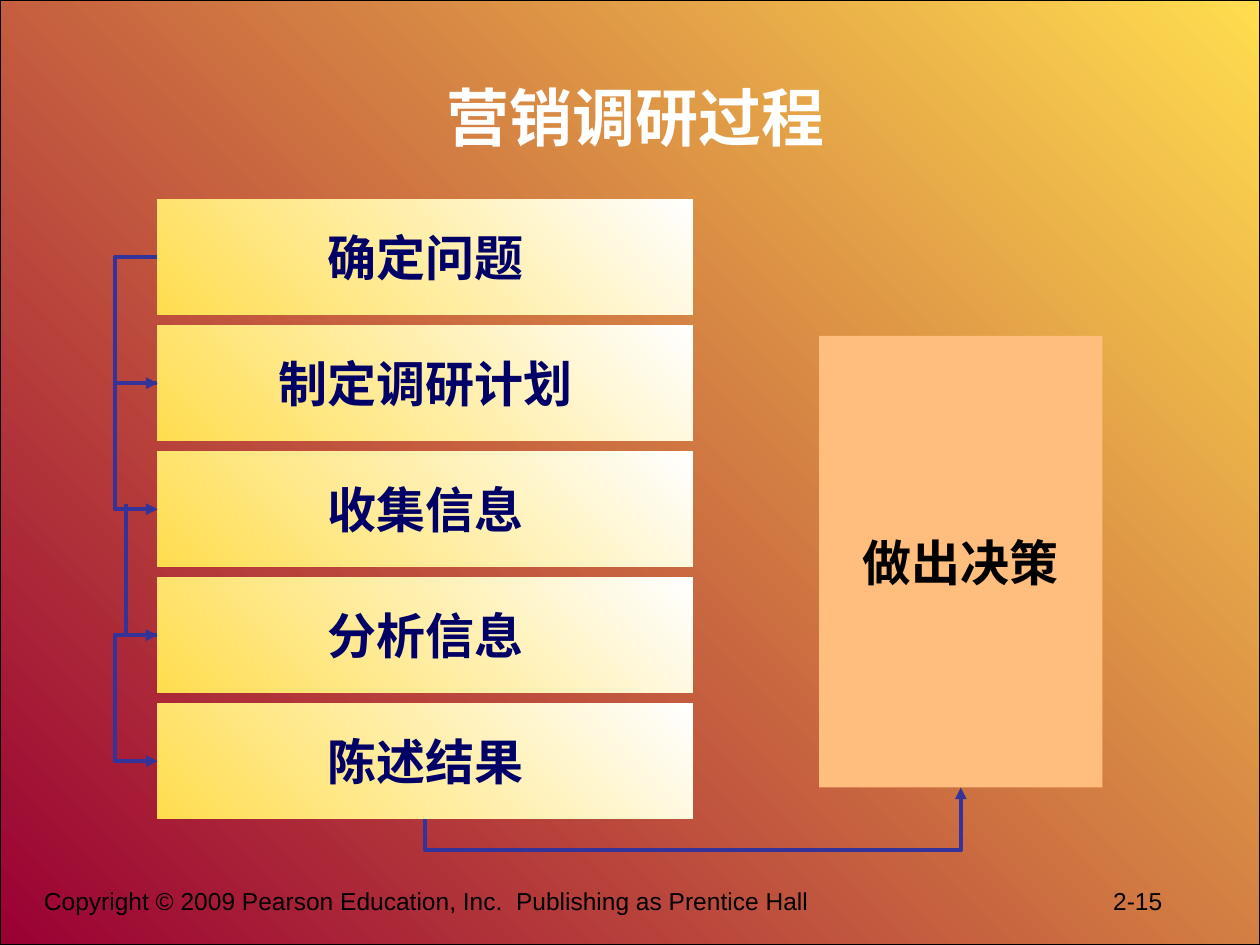
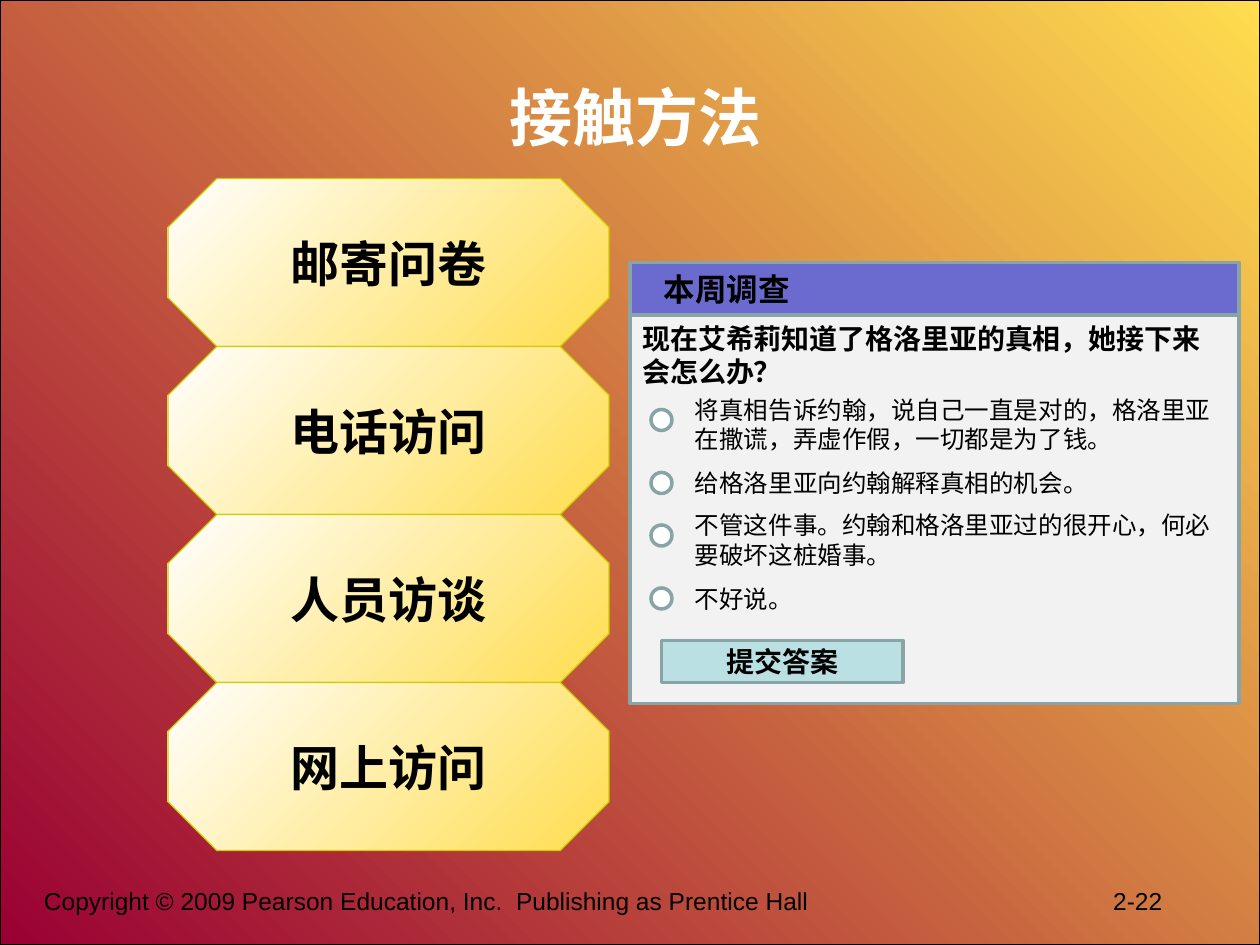
from dataclasses import dataclass

import lxml.etree
import pptx
import pptx.dml.color
import pptx.enum.shapes
import pptx.enum.text
import pptx.oxml.ns
import pptx.util

Pt = pptx.util.Pt
qn = pptx.oxml.ns.qn
SHAPES = pptx.enum.shapes.MSO_SHAPE
CONNECTORS = pptx.enum.shapes.MSO_CONNECTOR
ALIGN = pptx.enum.text.PP_ALIGN
ANCHOR = pptx.enum.text.MSO_ANCHOR
BOTTOM_SIDE, LEFT_SIDE = 2, 1


@dataclass(frozen=True)
class Theme:
    font: str = "Arial"
    title_font: str = "Noto Sans CJK SC"
    black: str = "000000"
    white: str = "FFFFFF"
    yellow: str = "FFDD4F"
    maroon: str = "990033"
    navy: str = "000066"
    arrow: str = "333399"
    decision: str = "FFBE7D"
    method_line: str = "CCCC00"
    panel: str = "F2F2F2"
    panel_header: str = "6B6BCF"
    panel_line: str = "89A4A7"
    button: str = "BBE0E3"
    title_size: float = 36
    box_size: float = 28
    header_size: float = 18
    question_size: float = 16
    small_size: float = 14
    thin: float = 0.75
    panel_width: float = 2
    arrow_width: float = 2.25


THEME = Theme()
SLIDE_BOX = (0, 0, 720, 540)
TITLE_BOX = (60, 21.6, 606, 90)
FOOTER_BOX = (18, 502.5, 672, 37.5)
COPYRIGHT = "Copyright © 2009 Pearson Education, Inc.  Publishing as Prentice Hall"
PAGE_NUMBER_TAB = 611

STEPS = ["确定问题", "制定调研计划", "收集信息", "分析信息", "陈述结果"]
METHODS = ["邮寄问卷", "电话访问", "人员访谈", "网上访问"]
# Answer text, top of the text and top of the radio button, from the panel top
ANSWERS = [
    ("将真相告诉约翰，说自己一直是对的，格洛里亚在撒谎，弄虚作假，一切都是为了钱。", 72, 84),
    ("给格洛里亚向约翰解释真相的机会。", 114, 120),
    ("不管这件事。约翰和格洛里亚过的很开心，何必要破坏这桩婚事。", 138, 150),
    ("不好说。", 180, 186),
]


def rgb(color):
    return pptx.dml.color.RGBColor.from_string(color)


def points(box):
    return [Pt(length) for length in box]


def write(shape, text, size, color=THEME.black, font=THEME.font, bold=False,
          align=ALIGN.LEFT, anchor=ANCHOR.TOP, wrap=True):
    frame = shape.text_frame
    for name, value in {"word_wrap": wrap, "vertical_anchor": anchor}.items():
        setattr(frame, name, value)
    paragraph = frame.paragraphs[0]
    paragraph.alignment = align
    run = paragraph.add_run()
    run.text = text
    for name, value in {"name": font, "size": Pt(size), "bold": bold}.items():
        setattr(run.font, name, value)
    run.font.color.rgb = rgb(color)
    east_asian = lxml.etree.SubElement(run._r.get_or_add_rPr(), qn("a:ea"))
    east_asian.set("typeface", font)
    return paragraph


def add_text(slide, box, text, size, **text_format):
    return write(slide.shapes.add_textbox(*points(box)), text, size, **text_format)


def add_box(slide, kind, box, fill, line=None, line_width=THEME.thin, angle=0):
    """Add a preset shape; a fill of two colours is a gradient at the angle."""
    shape = slide.shapes.add_shape(kind, *points(box))
    shape.shadow.inherit = False
    if isinstance(fill, tuple):
        shape.fill.gradient()
        shape.fill.gradient_angle = angle
        for stop, color in zip(shape.fill.gradient_stops, fill):
            stop.color.rgb = rgb(color)
    else:
        shape.fill.solid()
        shape.fill.fore_color.rgb = rgb(fill)
    if line:
        shape.line.color.rgb = rgb(line)
        shape.line.width = Pt(line_width)
    else:
        shape.line.fill.background()
    return shape


def add_line(slide, kind, start, end, arrow=True):
    connector = slide.shapes.add_connector(kind, *points(start + end))
    connector.line.color.rgb = rgb(THEME.arrow)
    connector.line.width = Pt(THEME.arrow_width)
    if arrow:
        line = connector.line._get_or_add_ln()
        lxml.etree.SubElement(line, qn("a:tailEnd")).set("type", "triangle")
    lxml.etree.SubElement(connector._element.spPr, qn("a:effectLst"))
    return connector


def add_loop(slide, first, last, side, frame, rotation, bend):
    """Join the same side of two boxes by an elbow that bends outside them.

    The frame is the unrotated box; bend is a multiple of its width.
    """
    connector = add_line(slide, CONNECTORS.ELBOW, (0, 0), (0, 0))
    connector.begin_connect(first, side)
    connector.end_connect(last, side)
    for name, value in zip(("left", "top", "width", "height"), points(frame)):
        setattr(connector, name, value)
    properties = connector._element.spPr
    transform = properties.find(qn("a:xfrm"))
    for name, value in {"rot": rotation * 60000, "flipH": 1, "flipV": 1}.items():
        transform.set(name, str(value))
    adjustments = properties.find(qn("a:prstGeom")).find(qn("a:avLst"))
    guide = lxml.etree.SubElement(adjustments, qn("a:gd"))
    guide.set("name", "adj1")
    guide.set("fmla", f"val {round(bend * 100000)}")


def add_base_slide(presentation, title, page):
    slide = presentation.slides.add_slide(presentation.slide_layouts[6])
    add_box(slide, SHAPES.RECTANGLE, SLIDE_BOX, (THEME.yellow, THEME.maroon),
            THEME.black, angle=225)
    footer = add_text(slide, FOOTER_BOX, f"{COPYRIGHT}\t{page}", THEME.small_size)
    tabs = lxml.etree.SubElement(footer._p.get_or_add_pPr(), qn("a:tabLst"))
    tab = lxml.etree.SubElement(tabs, qn("a:tab"))
    tab.set("pos", str(Pt(PAGE_NUMBER_TAB)))
    tab.set("algn", "l")
    add_text(slide, TITLE_BOX, title, THEME.title_size, color=THEME.white,
             font=THEME.title_font, bold=True, align=ALIGN.CENTER, anchor=ANCHOR.MIDDLE)
    return slide


def label(shape, text, color=THEME.black, size=THEME.box_size):
    write(shape, text, size, color=color, bold=True, align=ALIGN.CENTER,
          anchor=ANCHOR.MIDDLE, wrap=False)


def draw_steps(slide, box, gap=6):
    """Stack the step boxes in the box and link them along their left side."""
    left, top, width, height = box
    step_height = (height - gap * (len(STEPS) - 1)) / len(STEPS)
    pitch = step_height + gap
    steps = []
    for index, text in enumerate(STEPS):
        step = add_box(slide, SHAPES.RECTANGLE,
                       (left, top + index * pitch, width, step_height),
                       (THEME.white, THEME.yellow), angle=225)
        label(step, text, THEME.navy)
        steps.append(step)

    middles = [top + index * pitch + step_height / 2 for index in range(len(STEPS))]
    for index in (0, 1, 3):
        add_loop(slide, steps[index], steps[index + 1], LEFT_SIDE,
                 (left, middles[index], 0.17, pitch), 180, -144)

    spine = left - 18
    corner = (spine, middles[3])
    add_line(slide, CONNECTORS.STRAIGHT, (spine, middles[2] - 3), corner, arrow=False)
    branch = add_line(slide, CONNECTORS.STRAIGHT, corner, (left, middles[3]))
    branch.end_connect(steps[3], LEFT_SIDE)
    return steps


def draw_process(slide, steps_box, decision_box):
    steps = draw_steps(slide, steps_box)
    decision = add_box(slide, SHAPES.RECTANGLE, decision_box, THEME.decision)
    label(decision, "做出决策")

    start_x, start_y = steps_box[0] + steps_box[2] / 2, steps_box[1] + steps_box[3]
    end_x, end_y = decision_box[0] + decision_box[2] / 2, decision_box[1] + decision_box[3]
    rise, run = start_y - end_y, end_x - start_x
    frame = ((start_x + end_x - rise) / 2, (start_y + end_y - run) / 2, rise, run)
    add_loop(slide, steps[-1], decision, BOTTOM_SIDE, frame, 90, -1)


def draw_methods(slide, box):
    left, top, width, height = box
    method_height = height / len(METHODS)
    for index, text in enumerate(METHODS):
        method = add_box(slide, SHAPES.OCTAGON,
                         (left, top + index * method_height, width, method_height),
                         (THEME.yellow, THEME.white), THEME.method_line, angle=135)
        method.adjustments[0] = 0.29
        label(method, text)


def draw_survey(slide, box, header_height=30):
    left, top, width, height = box

    def add_part(kind, part_box, fill):
        x, y, part_width, part_height = part_box
        return add_box(slide, kind, (left + x, top + y, part_width, part_height),
                       fill, THEME.panel_line, THEME.panel_width)

    body = add_part(SHAPES.RECTANGLE, (0, header_height, width, height - header_height),
                    THEME.panel)
    write(body, "现在艾希莉知道了格洛里亚的真相，她接下来会怎么办？",
          THEME.question_size, bold=True)
    header = add_part(SHAPES.RECTANGLE, (0, 0, width, header_height), THEME.panel_header)
    header.text_frame.margin_left = Pt(19.2)
    write(header, "本周调查", THEME.header_size, bold=True, anchor=ANCHOR.MIDDLE)

    for text, text_top, radio_top in ANSWERS:
        add_part(SHAPES.OVAL, (12, radio_top, 12, 12), THEME.white)
        add_text(slide, (left + 30, top + text_top, 312, 24), text, THEME.small_size)
    button = add_part(SHAPES.RECTANGLE, (18, 216, 138, 24), THEME.button)
    label(button, "提交答案", size=THEME.question_size)


def main():
    presentation = pptx.Presentation()
    presentation.slide_width, presentation.slide_height = points(SLIDE_BOX[2:])

    process = add_base_slide(presentation, "营销调研过程", "2-15")
    draw_process(process, (90, 114, 306, 354), (468, 192, 162, 258))

    contact = add_base_slide(presentation, "接触方法", "2-22")
    draw_methods(contact, (96, 102, 252, 384))
    draw_survey(contact, (360, 150, 348, 252))

    presentation.save("out.pptx")


if __name__ == "__main__":
    main()
